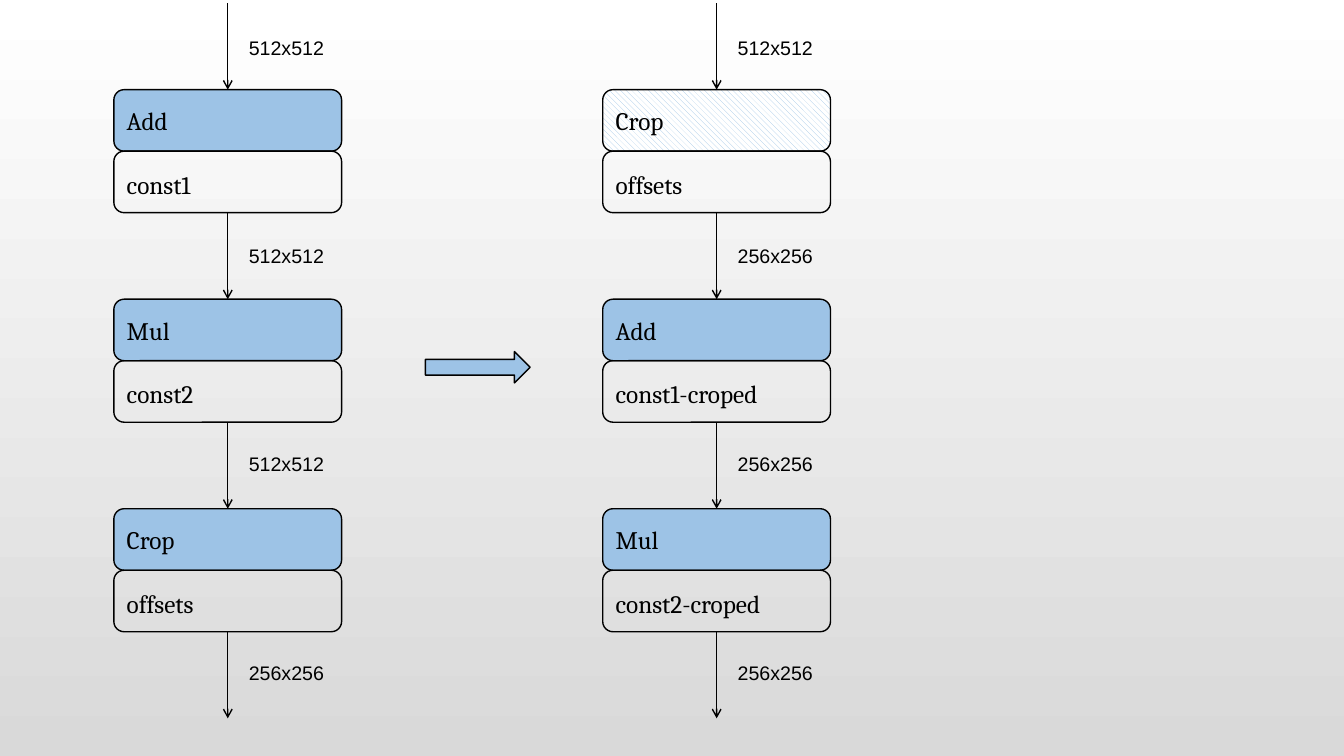
from lxml import etree
from pptx import Presentation
from pptx.dml.color import RGBColor
from pptx.enum.dml import MSO_PATTERN
from pptx.enum.shapes import MSO_CONNECTOR, MSO_SHAPE
from pptx.enum.text import MSO_ANCHOR, MSO_AUTO_SIZE, PP_ALIGN
from pptx.oxml.ns import qn
from pptx.util import Cm, Pt

ROUNDED = MSO_SHAPE.ROUNDED_RECTANGLE
BLOCK_ARROW = MSO_SHAPE.RIGHT_ARROW
STRAIGHT = MSO_CONNECTOR.STRAIGHT
HATCH = MSO_PATTERN.WIDE_DOWNWARD_DIAGONAL
MIDDLE = MSO_ANCHOR.MIDDLE
LEFT = PP_ALIGN.LEFT
GROW = MSO_AUTO_SIZE.SHAPE_TO_FIT_TEXT
TOP_SIDE, BOTTOM_SIDE = 0, 2

COLOURS = {"ink": "000000", "blue": "9DC3E6", "white": "FFFFFF", "grey": "D9D9D9"}
BOX_FONT = {"name": "Cambria", "size": Pt(18)}
LABEL_FONT = {"name": "Arial", "size": Pt(14)}

BOX_WIDTH, BOX_HEIGHT = 5.74, 1.55
FIRST_TOP, NODE_PITCH = 2.26, 5.28
ARROW_LENGTH = 2.18
LABEL_OFFSET, LABEL_TOP, LABEL_PITCH = 3.15, 0.77, 5.25

# Per chain: left edge, (operation, argument, fill) per node, size on each arrow
CHAINS = [
    (2.87,
     [("Add", "const1", "blue"), ("Mul", "const2", "blue"), ("Crop", "offsets", "blue")],
     ["512x512", "512x512", "512x512", "256x256"]),
    (15.19,
     [("Crop", "offsets", "hatch"), ("Add", "const1-croped", "blue"),
      ("Mul", "const2-croped", "blue")],
     ["512x512", "256x256", "256x256", "256x256"]),
]


def colour(name):
    return RGBColor.from_string(COLOURS[name])


def paint_background(page):
    fill = page.background.fill
    fill.gradient()
    fill.gradient_angle = 270
    for stop, name in zip(fill.gradient_stops, ("white", "grey")):
        stop.color.rgb = colour(name)


def write(shape, text, font_format):
    para = shape.text_frame.paragraphs[0]
    para.alignment = LEFT
    span = para.add_run()
    span.text = text
    span.font.color.rgb = colour("ink")
    for name, value in font_format.items():
        setattr(span.font, name, value)
    return para


def set_fill(shape, fill_name):
    """Fill with a colour, with the blue hatch, or with nothing."""
    fill = shape.fill
    if fill_name is None:
        fill.background()
    elif fill_name == "hatch":
        fill.patterned()
        fill.pattern = HATCH
        fill.fore_color.rgb = colour("blue")
        fill.back_color.rgb = colour("white")
    else:
        fill.solid()
        fill.fore_color.rgb = colour(fill_name)


def outline(shape):
    shape.line.color.rgb = colour("ink")
    shape.line.width = Pt(1)


def add_figure(shapes, kind, left, top, width, height, fill_name):
    shape = shapes.add_shape(kind, Cm(left), Cm(top), Cm(width), Cm(height))
    shape.shadow.inherit = False
    set_fill(shape, fill_name)
    outline(shape)
    return shape


def add_box(shapes, left, top, text, fill_name=None):
    box = add_figure(shapes, ROUNDED, left, top, BOX_WIDTH, BOX_HEIGHT, fill_name)
    box.text_frame.vertical_anchor = MIDDLE
    return box, write(box, text, BOX_FONT)


def add_node(shapes, left, top, operation, argument, fill_name):
    """Stack an operation box on its argument box and return both."""
    head, _ = add_box(shapes, left, top, operation, fill_name)
    body, para = add_box(shapes, left, top + BOX_HEIGHT, argument)
    para.line_spacing = Pt(25)
    return head, body


def add_arrow(shapes, x, top, source, target):
    """Draw a downward arrow, joined to the boxes it has at its ends."""
    arrow = shapes.add_connector(STRAIGHT, Cm(x), Cm(top), Cm(x), Cm(top + ARROW_LENGTH))
    if source is not None:
        arrow.begin_connect(source, BOTTOM_SIDE)
    if target is not None:
        arrow.end_connect(target, TOP_SIDE)
    outline(arrow)
    etree.SubElement(arrow.get_or_add_ln(), qn("a:tailEnd"), type="arrow")
    etree.SubElement(arrow._element.spPr, qn("a:effectLst"))


def add_label(shapes, left, top, text):
    label = shapes.add_textbox(Cm(left), Cm(top), Cm(2.59), Cm(0.86))
    label.text_frame.word_wrap = True
    label.text_frame.auto_size = GROW
    write(label, text, LABEL_FONT)


def add_chain(page, left, nodes, sizes):
    shapes = page.shapes.add_group_shape().shapes
    boxes = [add_node(shapes, left, FIRST_TOP + NODE_PITCH * row, *node)
             for row, node in enumerate(nodes)]
    sources = [None] + [body for _, body in boxes]
    targets = [head for head, _ in boxes] + [None]
    for row, (source, target, size) in enumerate(zip(sources, targets, sizes)):
        arrow_top = FIRST_TOP - ARROW_LENGTH + NODE_PITCH * row
        add_arrow(shapes, left + BOX_WIDTH / 2, arrow_top, source, target)
        add_label(page.shapes, left + LABEL_OFFSET, LABEL_TOP + LABEL_PITCH * row, size)


def main():
    deck = Presentation()
    deck.slide_width, deck.slide_height = Cm(33.87), Cm(19.05)
    page = deck.slides.add_slide(deck.slide_layouts.get_by_name("Blank"))
    paint_background(page)
    add_figure(page.shapes, BLOCK_ARROW, 10.72, 8.86, 2.64, 0.79, "blue")
    for chain in CHAINS:
        add_chain(page, *chain)
    deck.save("out.pptx")


if __name__ == "__main__":
    main()
